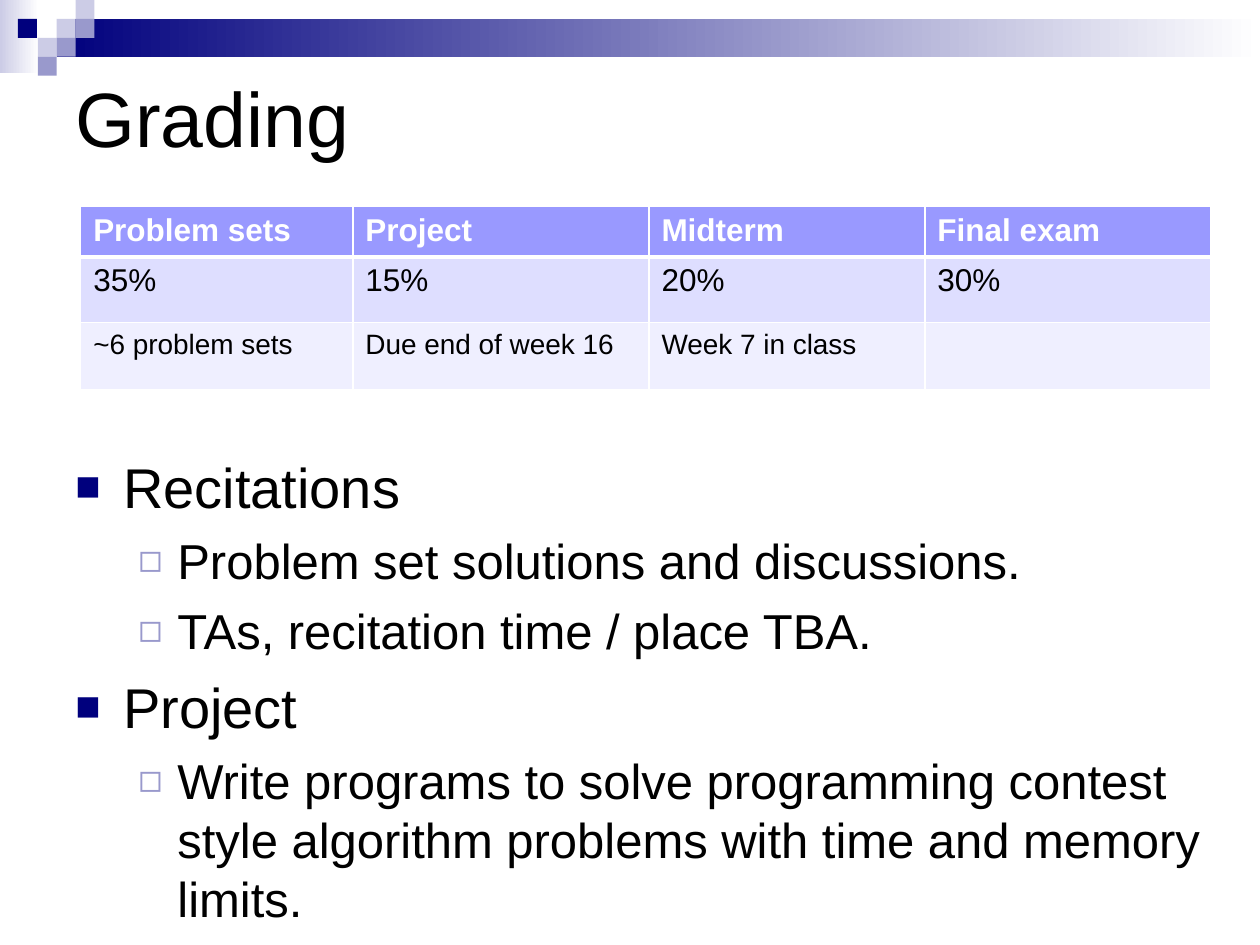
import pptx
import pptx.dml.color
import pptx.enum.shapes
import pptx.enum.text
import pptx.oxml
import pptx.oxml.ns
import pptx.util
from lxml import etree

Inches, Pt = pptx.util.Inches, pptx.util.Pt
NAVY, LAVENDER, PALE, WHITE, BLACK = "00007D", "9999CC", "CCCCE6", "FFFFFF", "000000"
FONT = "Arial"
TILE = 0.15

GRADES = [
    ["Problem sets", "Project", "Midterm", "Final exam"],
    ["35%", "15%", "20%", "30%"],
    ["~6 problem sets", "Due end of week 16", "Week 7 in class", ""],
]
# fill, text colour, size, bold, bottom border width
ROW_STYLES = [
    ("9999FF", WHITE, 18, True, 3),
    ("DEDEFF", BLACK, 18, False, 1),
    ("EFEFFF", BLACK, 16, False, 1),
]
TOPICS = [
    (0, "Recitations"),
    (1, "Problem set solutions and discussions."),
    (1, "TAs, recitation time / place TBA."),
    (0, "Project"),
    (1, "Write programs to solve programming contest style algorithm "
        "problems with time and memory limits."),
]
# size, left margin, hanging indent, bullet, bullet colour, bullet size in %
LEVELS = [
    (32, 0.38, 0.38, "■", NAVY, 75),
    (28, 0.81, 0.31, "◻", LAVENDER, 80),
]


def rgb(colour):
    return pptx.dml.color.RGBColor.from_string(colour)


def style_runs(paragraph, size, colour, bold=False):
    for run in paragraph.runs:
        run.font.name = FONT
        run.font.size = Pt(size)
        run.font.bold = bold
        run.font.color.rgb = rgb(colour)


def add_block(slide, box, *colours):
    """Rectangle in one colour, or fading left to right between two."""
    block = slide.shapes.add_shape(
        pptx.enum.shapes.MSO_SHAPE.RECTANGLE, *map(Inches, box))
    block.shadow.inherit = False
    block.line.fill.background()
    if len(colours) == 1:
        block.fill.solid()
        block.fill.fore_color.rgb = rgb(colours[0])
        return
    block.fill.gradient()
    block.fill.gradient_angle = 0
    for stop, colour, position in zip(block.fill.gradient_stops, colours, (0, 1)):
        stop.color.rgb = rgb(colour)
        stop.position = position


def add_banner(slide, box):
    left, top, width, height = box
    add_block(slide, (left, top, 0.31, height), PALE, WHITE)
    band_left = left + 3 * TILE
    add_block(slide, (band_left, top + TILE, width - 3 * TILE, 2 * TILE), NAVY, WHITE)
    for column, row, colour in [
        (3, 1, PALE), (4, 0, PALE), (4, 1, LAVENDER), (2, 2, PALE),
        (0.95, 1, NAVY), (3, 2, LAVENDER), (2, 3, LAVENDER),
    ]:
        add_block(slide, (left + column * TILE, top + row * TILE, TILE, TILE), colour)


def add_text_area(slide, box, anchor):
    frame = slide.shapes.add_textbox(*map(Inches, box)).text_frame
    frame.word_wrap = True
    frame.vertical_anchor = anchor
    return frame


def add_title(slide, box, title):
    frame = add_text_area(slide, box, pptx.enum.text.MSO_ANCHOR.MIDDLE)
    frame.text = title
    style_runs(frame.paragraphs[0], 44, BLACK)


def add_bullet(paragraph, level):
    size, margin, hanging, mark, colour, percent = LEVELS[level]
    properties = paragraph._p.get_or_add_pPr()
    properties.set("marL", str(Inches(margin)))
    properties.set("indent", str(-Inches(hanging)))
    ns = pptx.oxml.ns.qn
    bullet_colour = etree.SubElement(properties, ns("a:buClr"))
    etree.SubElement(bullet_colour, ns("a:srgbClr"), val=colour)
    etree.SubElement(properties, ns("a:buSzPct"), val=str(percent * 1000))
    etree.SubElement(properties, ns("a:buFont"), typeface=FONT)
    etree.SubElement(properties, ns("a:buChar"), char=mark)


def add_topics(slide, box, topics):
    frame = add_text_area(slide, box, pptx.enum.text.MSO_ANCHOR.TOP)
    for index, (level, topic) in enumerate(topics):
        paragraph = frame.add_paragraph() if index else frame.paragraphs[0]
        paragraph.text = topic
        paragraph.level = level
        size = LEVELS[level][0]
        paragraph.space_before = Pt(round(0.23 * size, 1))
        style_runs(paragraph, size, BLACK)
        add_bullet(paragraph, level)


def set_borders(cell, bottom_width, top_width):
    properties = cell._tc.get_or_add_tcPr()
    widths = {"lnL": 1, "lnR": 1, "lnT": top_width, "lnB": bottom_width}
    for index, (side, width) in enumerate(widths.items()):
        properties.insert(index, pptx.oxml.parse_xml(
            f'<a:{side} {pptx.oxml.ns.nsdecls("a")} w="{Pt(width)}"><a:solidFill>'
            f'<a:srgbClr val="{WHITE}"/></a:solidFill></a:{side}>'))


def add_grades(slide, box, column_widths, row_heights):
    table = slide.shapes.add_table(
        len(GRADES), len(GRADES[0]), *map(Inches, box)).table
    for column, width in zip(table.columns, column_widths):
        column.width = Inches(width)
    top_width = 1
    for row, height, texts, row_style in zip(table.rows, row_heights, GRADES, ROW_STYLES):
        row.height = Inches(height)
        fill, colour, size, bold, bottom_width = row_style
        for cell, text in zip(row.cells, texts):
            cell.text = text
            style_runs(cell.text_frame.paragraphs[0], size, colour, bold)
            cell.fill.solid()
            cell.fill.fore_color.rgb = rgb(fill)
            set_borders(cell, bottom_width, top_width)
        top_width = bottom_width


def main():
    deck = pptx.Presentation()
    deck.slide_width, deck.slide_height = Inches(10), Inches(7.5)
    slide = deck.slides.add_slide(deck.slide_layouts[6])
    add_banner(slide, (0, 0, 10, 0.58))
    add_title(slide, (0.5, 0.5, 9, 0.86), "Grading")
    add_topics(slide, (0.5, 3.54, 9.16, 3.81), TOPICS)
    add_grades(slide, (0.64, 1.64, 8.97, 1.45),
               (2.16, 2.35, 2.19, 2.27), (0.34, 0.52, 0.53))
    deck.save("out.pptx")


if __name__ == "__main__":
    main()
